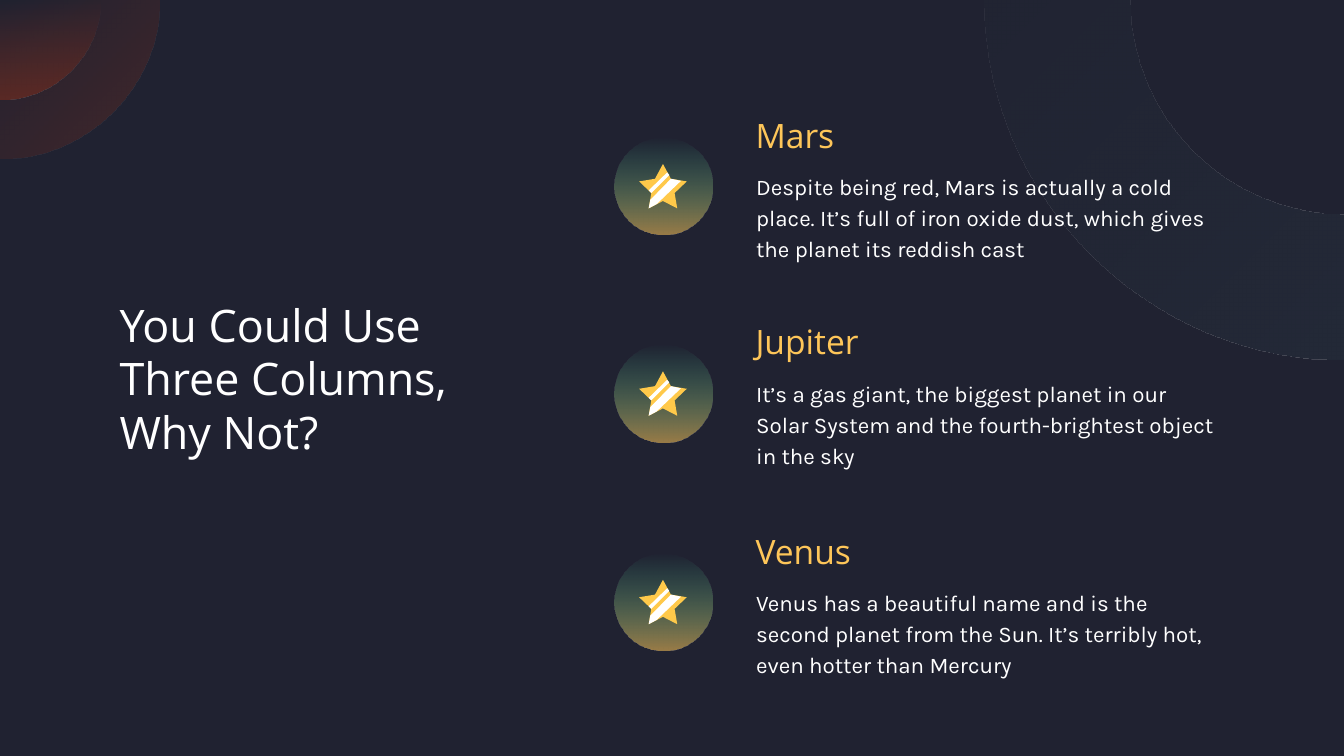
from dataclasses import dataclass

from lxml import etree
from pptx import Presentation
from pptx import util as u
from pptx.dml.color import RGBColor
from pptx.enum import shapes, text
from pptx.oxml.ns import qn

COLORS = {
    "bg": "202231", "white": "FFFFFF", "heading": "FEC659", "star": "FFC94A",
    "glow": "FEC659", "mint": "4AFFC3", "rust": "9C3218", "slate": "252C3A",
}

Point = tuple[float, float]


@dataclass(frozen=True)
class Gradient:
    """Two colours with their opacities in percent, and the direction."""
    start: str
    start_alpha: int
    end: str
    end_alpha: int
    angle: int


@dataclass(frozen=True)
class Planet:
    name: str
    body: str
    disc_y: float
    text_y: float


@dataclass(frozen=True)
class TextStyle:
    size: int
    font: str
    color: str
    para: dict
    anchor: text.MSO_ANCHOR = text.MSO_ANCHOR.TOP


# Styles
LOOSE = {"line_spacing": 1.15, "space_after": u.Pt(16)}
TITLE = TextStyle(24, "Open Sans", "white", {}, text.MSO_ANCHOR.MIDDLE)
HEADING = TextStyle(18, "Open Sans", "heading", LOOSE)
BODY = TextStyle(12, "Karla", "white", LOOSE)
DISC_GLOW = Gradient("glow", 55, "mint", 0, 90)

# Content; positions in cm
PLANETS = [
    Planet("Mars", "Despite being red, Mars is actually a cold place. It’s full of "
           "iron oxide dust, which gives the planet its reddish cast", 2.6, 1.8),
    Planet("Jupiter", "It’s a gas giant, the biggest planet in our Solar System and "
           "the fourth-brightest object in the sky", 6.52, 5.71),
    Planet("Venus", "Venus has a beautiful name and is the second planet from the "
           "Sun. It’s terribly hot, even hotter than Mercury", 10.46, 9.67),
]

# Icon outlines, measured from the corner of the disc
DISC_X, DISC_SIZE = 11.62, 1.84
ICON = [
    ("star", [(0.91, 0.5), (0.76, 0.78), (0.46, 0.83), (0.69, 1.05), (0.64, 1.34),
              (0.91, 1.2), (1.18, 1.34), (1.13, 1.05), (1.36, 0.83), (1.06, 0.78)]),
    ("white", [(0.99, 0.66), (0.64, 1.0), (0.69, 1.05), (1.03, 0.71)]),
    ("white", [(1.06, 0.78), (0.67, 1.18), (0.64, 1.34), (0.79, 1.26), (1.25, 0.82)]),
]
BEZIER = 0.55  # handle length of a quarter circle, as a share of its radius


def rgb(name: str) -> RGBColor:
    return RGBColor.from_string(COLORS[name])


def clean(sp) -> None:
    sp.shadow.inherit = False
    sp.line.fill.background()


def fill_gradient(sp, g: Gradient) -> None:
    sp.fill.gradient()
    sp.fill.gradient_angle = g.angle
    for stop, name in zip(sp.fill.gradient_stops, (g.start, g.end)):
        stop.color.rgb = rgb(name)
    colors = sp._element.spPr.iter(qn("a:srgbClr"))
    for clr, alpha in zip(colors, (g.start_alpha, g.end_alpha)):
        etree.SubElement(clr, qn("a:alpha"), val=str(alpha * 1000))


def add_outline(s, points: list[Point], curves: tuple[int, ...] = ()):
    """Closed outline; each number in curves is a segment where a Bézier starts."""
    pts = [(u.Cm(x), u.Cm(y)) for x, y in points]
    fb = s.shapes.build_freeform(*pts[0])
    fb.add_line_segments(pts[1:], close=True)
    sp = fb.convert_to_shape()
    clean(sp)
    # Join three line segments into one curve
    lines = list(sp._element.iter(qn("a:lnTo")))
    for i in curves:
        curve = etree.Element(qn("a:cubicBezTo"))
        lines[i].addprevious(curve)
        for line in lines[i:i + 3]:
            curve.append(line[0])
            line.getparent().remove(line)
    return sp


def quarter(cx: float, radius: float, side: int) -> list[Point]:
    """Quarter circle from the top edge down to below its centre."""
    x, k = cx + side * radius, BEZIER * radius
    return [(x, 0), (x, k), (cx + side * k, radius), (cx, radius)]


def add_text(s, content: str, box: tuple[float, ...], style: TextStyle) -> None:
    tf = s.shapes.add_textbox(*map(u.Cm, box)).text_frame
    frame = {"word_wrap": True, "vertical_anchor": style.anchor}
    for side in ("left", "right", "top", "bottom"):
        frame[f"margin_{side}"] = u.Cm(0.25)
    p = tf.paragraphs[0]
    r = p.add_run()
    r.text = content
    font = {"size": u.Pt(style.size), "name": style.font}
    for target, values in ((tf, frame), (p, style.para), (r.font, font)):
        for key, value in values.items():
            setattr(target, key, value)
    r.font.color.rgb = rgb(style.color)


def add_icon(s, top: float) -> None:
    sp = s.shapes.add_shape(shapes.MSO_SHAPE.OVAL, u.Cm(DISC_X), u.Cm(top),
                            u.Cm(DISC_SIZE), u.Cm(DISC_SIZE))
    clean(sp)
    fill_gradient(sp, DISC_GLOW)
    for color, points in ICON:
        sp = add_outline(s, [(DISC_X + x, top + y) for x, y in points])
        sp.fill.solid()
        sp.fill.fore_color.rgb = rgb(color)


def add_decoration(s) -> None:
    # Quarter discs in the left corner
    for radius, alpha, angle in ((3.0, 30, 135), (1.88, 42, 90)):
        sp = add_outline(s, quarter(0.01, radius, 1) + [(0.01, 0)], (0,))
        fill_gradient(sp, Gradient("rust", alpha, "rust", 0, angle))
    # Quarter ring in the right corner
    outer, inner = quarter(25.4, 6.8, -1), quarter(25.4, 4.06, -1)
    sp = add_outline(s, outer + inner[::-1], (0, 4))
    fill_gradient(sp, Gradient("slate", 75, "slate", 20, 135))


def main() -> None:
    prs = Presentation()
    prs.slide_width, prs.slide_height = u.Cm(25.4), u.Cm(14.29)
    s = prs.slides.add_slide(prs.slide_layouts[6])
    s.background.fill.solid()
    s.background.fill.fore_color.rgb = rgb("bg")

    add_decoration(s)
    add_text(s, "You Could Use Three Columns, Why Not?", (2.01, 5.29, 8.31, 3.71), TITLE)

    # One row per planet
    for planet in PLANETS:
        add_icon(s, planet.disc_y)
        add_text(s, planet.name, (14.03, planet.text_y, 8.53, 1.6), HEADING)
        add_text(s, planet.body, (14.04, planet.text_y + 1.15, 9.35, 2.11), BODY)

    prs.save("out.pptx")


if __name__ == "__main__":
    main()
